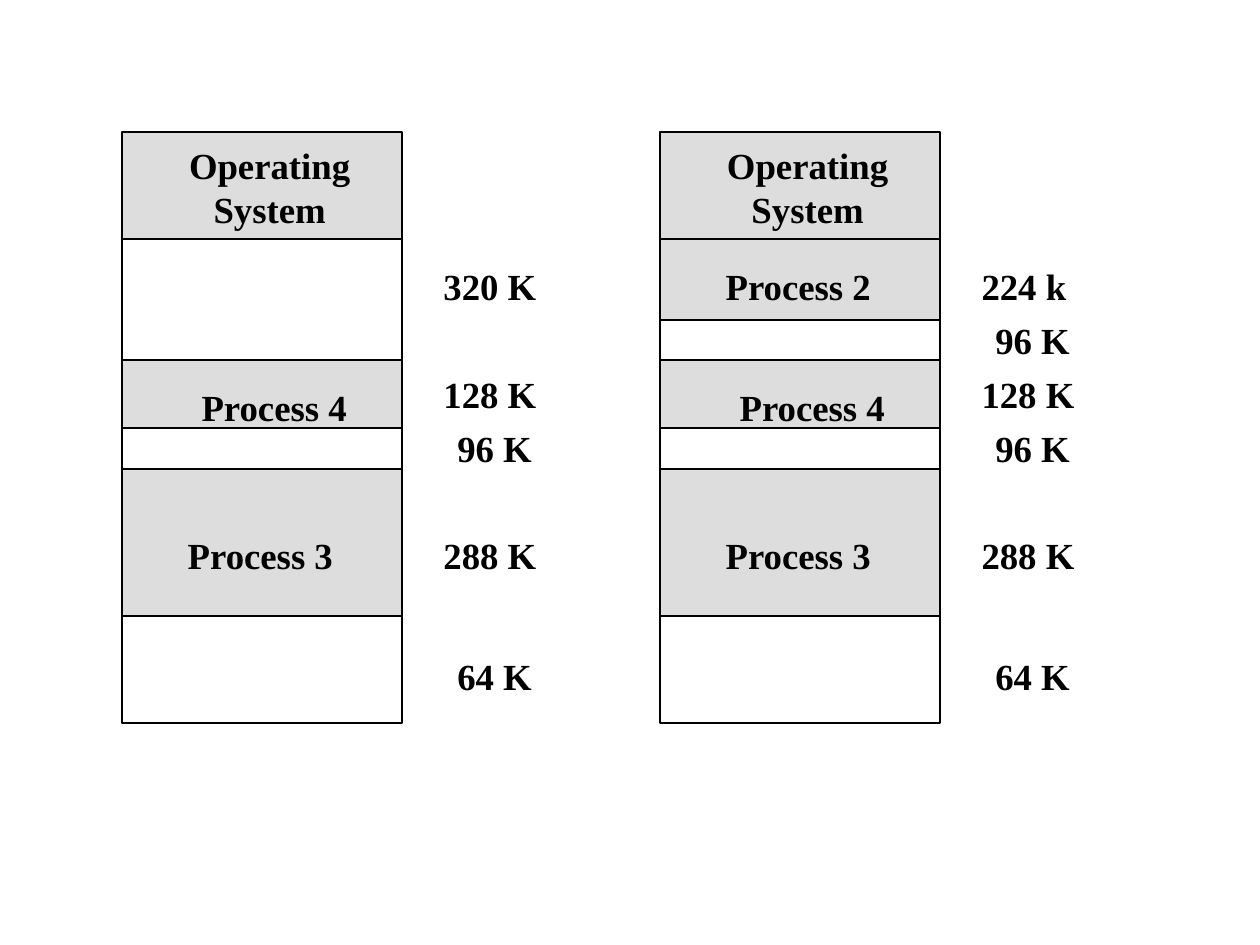
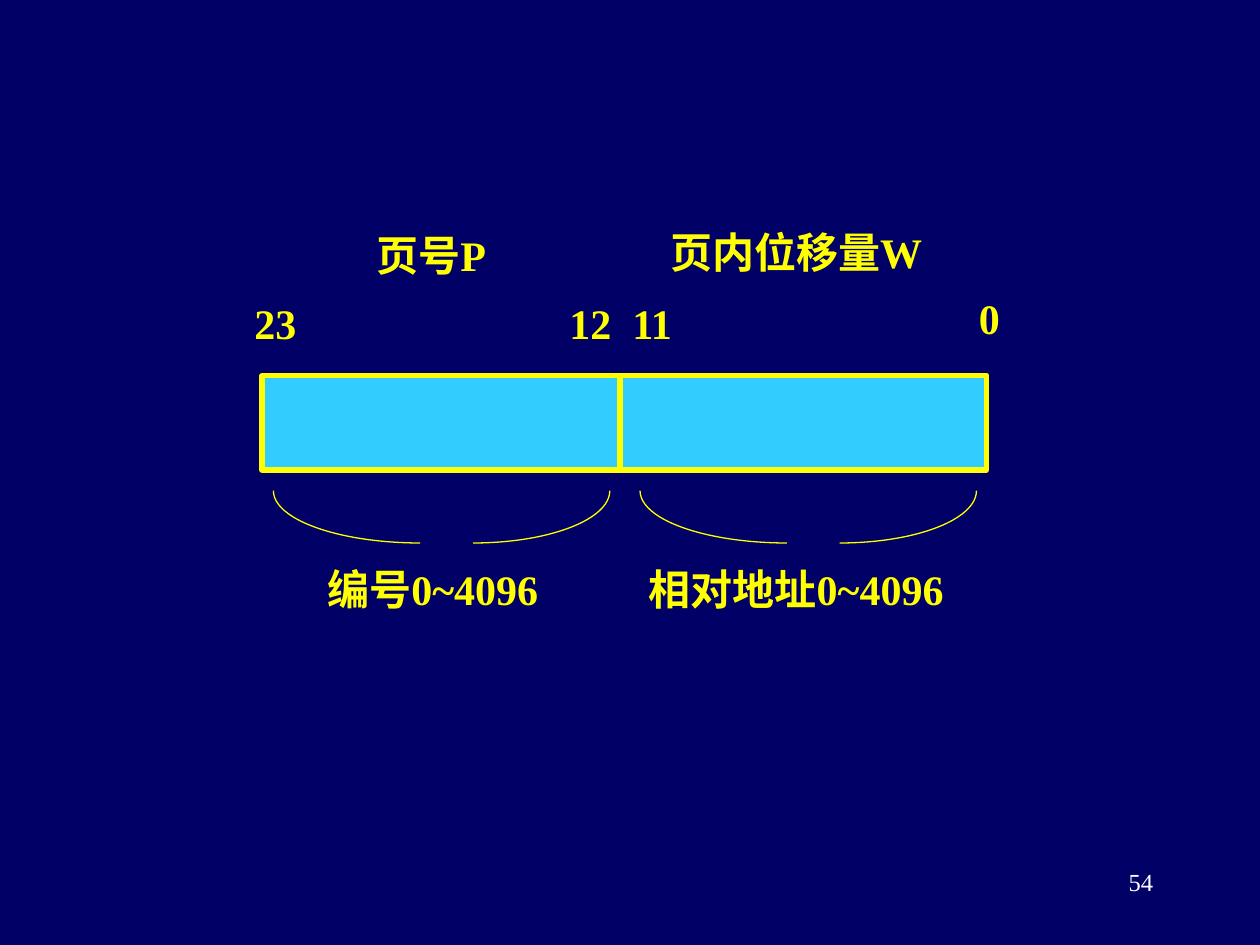
from pptx import Presentation
from pptx import util as u
from pptx.dml.color import RGBColor
from pptx.enum import shapes, text
from pptx.oxml.ns import qn
from lxml import etree

FONT = "Times New Roman"
BLACK = RGBColor(0, 0, 0)
WHITE = RGBColor(0xFF, 0xFF, 0xFF)
GREY = RGBColor(0xDD, 0xDD, 0xDD)
NAVY = RGBColor(0, 0, 0x66)
SKY = RGBColor(0x33, 0xCC, 0xFF)
YELLOW = RGBColor(0xFF, 0xFF, 0)

WIDE = 2.22    # width of a memory map
LAST = 5.74    # bottom of a memory map

# Each band: top, name, name's left and top, size, size's top
SYSTEM = (1.05, "Operating\nSystem", 0.52, 1.13, "", 0)
LOWER = [
    (2.86, "Process 4", 0.63, 3.05, "128 K", 2.95),
    (3.4, "", 0, 0, "96 K", 3.38),
    (3.72, "Process 3", 0.52, 4.23, "288 K", 4.23),
    (4.89, "", 0, 0, "64 K", 5.19),
]
BEFORE = [SYSTEM, (1.9, "", 0, 0, "320 K", 2.09)] + LOWER
AFTER = [
    SYSTEM,
    (1.9, "Process 2", 0.52, 2.09, "224 k", 2.09),
    (2.54, "", 0, 0, "96 K", 2.52),
] + LOWER


def box(slide, x, y, w, h, kind=shapes.MSO_SHAPE.RECTANGLE,
        fill=None, line=None, weight=1.25):
    shape = slide.shapes.add_shape(kind, *map(u.Inches, (x, y, w, h)))
    shape.shadow.inherit = False
    if fill is None:
        shape.fill.background()
    else:
        shape.fill.solid()
        shape.fill.fore_color.rgb = fill
    if line is None:
        shape.line.fill.background()
    else:
        shape.line.color.rgb = line
        shape.line.width = u.Pt(weight)
    return shape


def rule(slide, x1, y1, x2, y2, color, weight=1.25):
    line = slide.shapes.add_connector(
        shapes.MSO_CONNECTOR.STRAIGHT, *map(u.Inches, (x1, y1, x2, y2)))
    line.line.color.rgb = color
    line.line.width = u.Pt(weight)
    etree.SubElement(line._element.spPr, qn("a:effectLst"))


def write(slide, words, x, y, w, h=0.5, size=24, color=YELLOW, bold=True,
          align=text.PP_ALIGN.LEFT, pad=(0.1, 0.05)):
    frame = slide.shapes.add_textbox(
        *map(u.Inches, (x, y, w, h))).text_frame
    frame.word_wrap = True
    frame.margin_left = frame.margin_right = u.Inches(pad[0])
    frame.margin_top = frame.margin_bottom = u.Inches(pad[1])
    frame.text = words
    for par in frame.paragraphs:
        par.alignment = align
        par.font.name = FONT
        par.font.size = u.Pt(size)
        par.font.bold = bold
        par.font.color.rgb = color


def map_out(slide, left, bands):
    """Draw a memory map with its band names and sizes."""
    style = dict(size=21, color=BLACK, pad=(0, 0))
    ends = [band[0] for band in bands[1:]] + [LAST]
    for (top, name, *_), end in zip(bands, ends):
        if name:
            box(slide, left, top, WIDE, end - top, fill=GREY)
    box(slide, left, bands[0][0], WIDE, LAST - bands[0][0], line=BLACK)
    for end in ends[:-1]:
        rule(slide, left, end, left + WIDE, end, BLACK)

    for _, name, shift, name_y, size, size_y in bands:
        if name:
            lines = name.count("\n") + 1
            align = (text.PP_ALIGN.CENTER if lines > 1
                     else text.PP_ALIGN.LEFT)
            write(slide, name, left + shift, name_y, 1.3, 0.35 * lines,
                  align=align, **style)
        if size:
            indent = 2.55 if len(size) == 5 else 2.66
            write(slide, size, left + indent, size_y, 0.9, 0.35, **style)


def brace(slide, left):
    """Draw two quarter arcs that open upward, with a gap between them."""
    quarter = 54  # 90 degrees in adjustment units
    for x, w, start in ((left, 2.33, quarter), (left + 0.5, 2.17, 0)):
        arc = box(slide, x, 3.48, w, 0.83, kind=shapes.MSO_SHAPE.ARC,
                  line=YELLOW, weight=0.75)
        arc.adjustments[0] = start
        arc.adjustments[1] = start + quarter


def show_maps(slide):
    map_out(slide, 0.97, BEFORE)
    map_out(slide, 5.24, AFTER)


def show_page(slide):
    """Draw the address word: page number and offset."""
    slide.background.fill.solid()
    slide.background.fill.fore_color.rgb = NAVY
    box(slide, 2.08, 2.98, 5.75, 0.75, fill=SKY, line=YELLOW, weight=3)
    rule(slide, 4.92, 2.98, 4.92, 3.73, YELLOW, weight=3)
    for bit, x, y in (("23", 1.92, 2.31), ("12", 4.42, 2.31),
                      ("11", 4.92, 2.31), ("0", 7.67, 2.27)):
        write(slide, bit, x, y, 0.6)
    write(slide, "页号P", 2.89, 1.77, 1.5)
    write(slide, "页内位移量W", 5.22, 1.75, 2.6)
    write(slide, "编号0~4096", 2.5, 4.42, 2.3)
    write(slide, "相对地址0~4096", 5.05, 4.42, 2.9)
    for left in (2.17, 5.08):
        brace(slide, left)
    write(slide, "54", 7.17, 6.83, 2.08, size=14, color=WHITE, bold=False,
          align=text.PP_ALIGN.RIGHT)


def main():
    deck = Presentation()
    deck.slide_width, deck.slide_height = u.Inches(10), u.Inches(7.5)
    blank = deck.slide_layouts[6]
    for show in (show_maps, show_page):
        show(deck.slides.add_slide(blank))
    deck.save("out.pptx")


if __name__ == "__main__":
    main()
